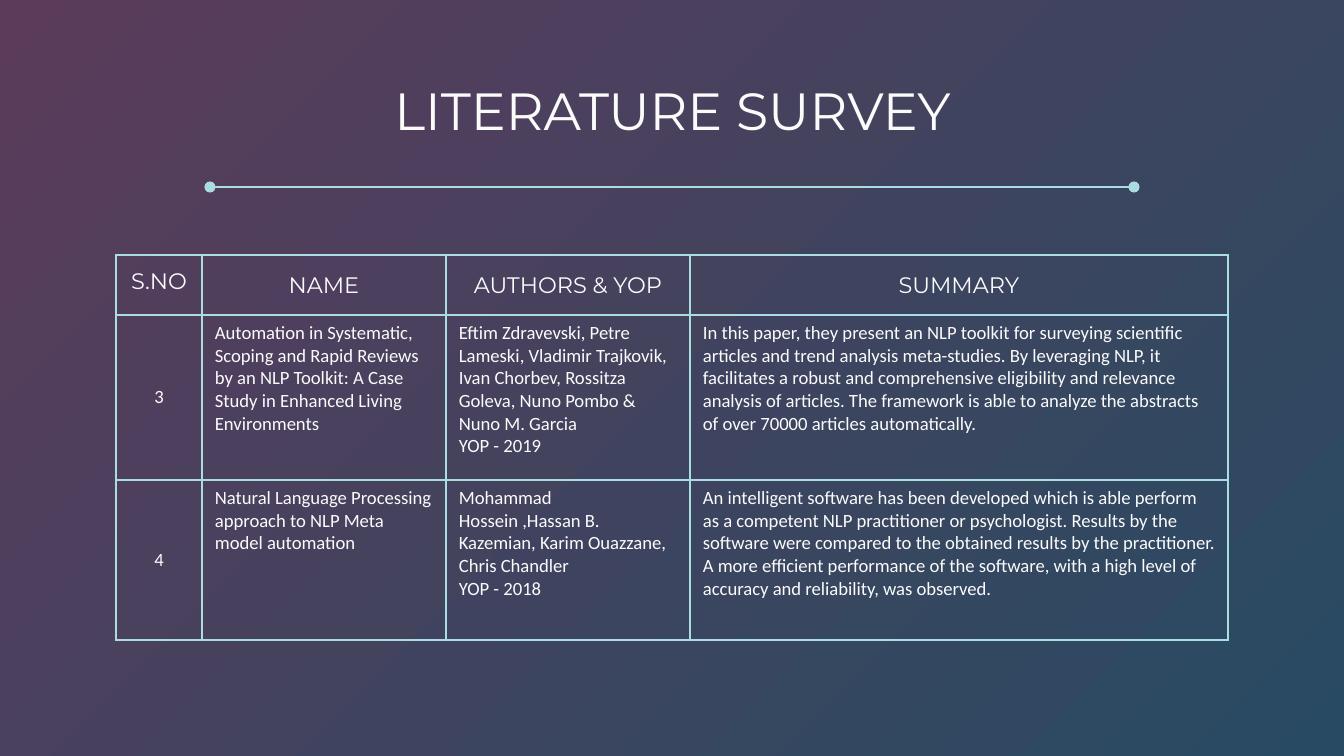
from lxml.etree import SubElement
from pptx import Presentation
from pptx.dml.color import RGBColor
from pptx.enum.shapes import MSO_CONNECTOR
from pptx.enum.text import MSO_ANCHOR, PP_ALIGN
from pptx.oxml import parse_xml
from pptx.oxml.ns import nsdecls, qn
from pptx.util import Emu, Pt

PLUM = RGBColor(0x5B, 0x3B, 0x5A)
NAVY = RGBColor(0x28, 0x4B, 0x63)
AQUA = RGBColor(0xAA, 0xDD, 0xE0)
WHITE = RGBColor(0xFB, 0xFB, 0xFB)

INSET = 13


def px(n):
    return Emu(round(n * 914400 / 134.4))


def style_text(tf, font, size, align):
    for p in tf.paragraphs:
        p.alignment = align
        p.font.name = font
        p.font.size = Pt(size)
        p.font.color.rgb = WHITE


prs = Presentation()
prs.slide_width, prs.slide_height = px(1344), px(756)
s = prs.slides.add_slide(prs.slide_layouts[6])

# Background gradient, top left to bottom right
fill = s.background.fill
fill.gradient()
fill.gradient_angle = 315
for stop, color in zip(fill.gradient_stops, (PLUM, NAVY)):
    stop.color.rgb = color

# Survey table
rows = [
    ["S.NO", "NAME", "AUTHORS & YOP", "SUMMARY"],
    ["3",
     "Automation in Systematic, Scoping and Rapid Reviews by an NLP Toolkit: "
     "A Case Study in Enhanced Living Environments",
     "Eftim Zdravevski, Petre Lameski, Vladimir Trajkovik, Ivan Chorbev, "
     "Rossitza Goleva, Nuno Pombo & Nuno M. Garcia\nYOP - 2019",
     "In this paper, they present an NLP toolkit for surveying scientific articles "
     "and trend analysis meta-studies. By leveraging NLP, it facilitates a robust and "
     "comprehensive eligibility and relevance analysis of articles. The framework is "
     "able to analyze the abstracts of over 70000 articles automatically."],
    ["4",
     "Natural Language Processing approach to NLP Meta model automation",
     "Mohammad Hossein ,Hassan B. Kazemian, Karim Ouazzane, Chris Chandler\n"
     "YOP - 2018",
     "An intelligent software has been developed which is able perform as a competent "
     "NLP practitioner or psychologist. Results by the software were compared to the "
     "obtained results by the practitioner. A more efficient performance of the "
     "software, with a high level of accuracy and reliability, was observed."],
]
col_widths = [86, 244, 244, 538]
row_heights = [60, 165, 160]

table = s.shapes.add_table(len(rows), len(col_widths), px(116), px(255),
                           px(sum(col_widths)), px(sum(row_heights))).table
table.first_row = False
table.horz_banding = False
for col, width in zip(table.columns, col_widths):
    col.width = px(width)
for row, height in zip(table.rows, row_heights):
    row.height = px(height)

for i, row in enumerate(rows):
    for j, text in enumerate(row):
        cell = table.cell(i, j)
        cell.text = text
        cell.fill.background()
        label = i == 0 or j == 0
        cell.margin_left = cell.margin_right = px(INSET)
        cell.margin_top = cell.margin_bottom = px(INSET if label else 7)
        if label and (i, j) != (0, 0):
            cell.vertical_anchor = MSO_ANCHOR.MIDDLE
        style_text(cell.text_frame, "Calibri" if i else "Montserrat", 10 if i else 12,
                   PP_ALIGN.CENTER if label else PP_ALIGN.LEFT)
        # Cell borders come before the fill
        tcPr = cell._tc.get_or_add_tcPr()
        for k, side in enumerate("LRTB"):
            tcPr.insert(k, parse_xml(
                f'<a:ln{side} {nsdecls("a")} w="{Pt(1.5)}"><a:solidFill>'
                f'<a:srgbClr val="{AQUA}"/></a:solidFill></a:ln{side}>'))

# Title
title = s.shapes.add_textbox(px(106), px(86), px(1133), px(48))
tf = title.text_frame
tf.word_wrap = True
tf.vertical_anchor = MSO_ANCHOR.MIDDLE
tf.margin_left = tf.margin_right = tf.margin_top = tf.margin_bottom = px(INSET)
tf.text = "LITERATURE SURVEY"
style_text(tf, "Montserrat", 28, PP_ALIGN.CENTER)

# Rule under the title, with round ends
rule = s.shapes.add_connector(MSO_CONNECTOR.STRAIGHT, px(210), px(187), px(1134), px(187))
rule.line.color.rgb = AQUA
rule.line.width = Pt(1.5)
ln = rule.line._get_or_add_ln()
for end in ("a:headEnd", "a:tailEnd"):
    SubElement(ln, qn(end), type="oval")
SubElement(rule._element.spPr, qn("a:effectLst"))

prs.save("out.pptx")
